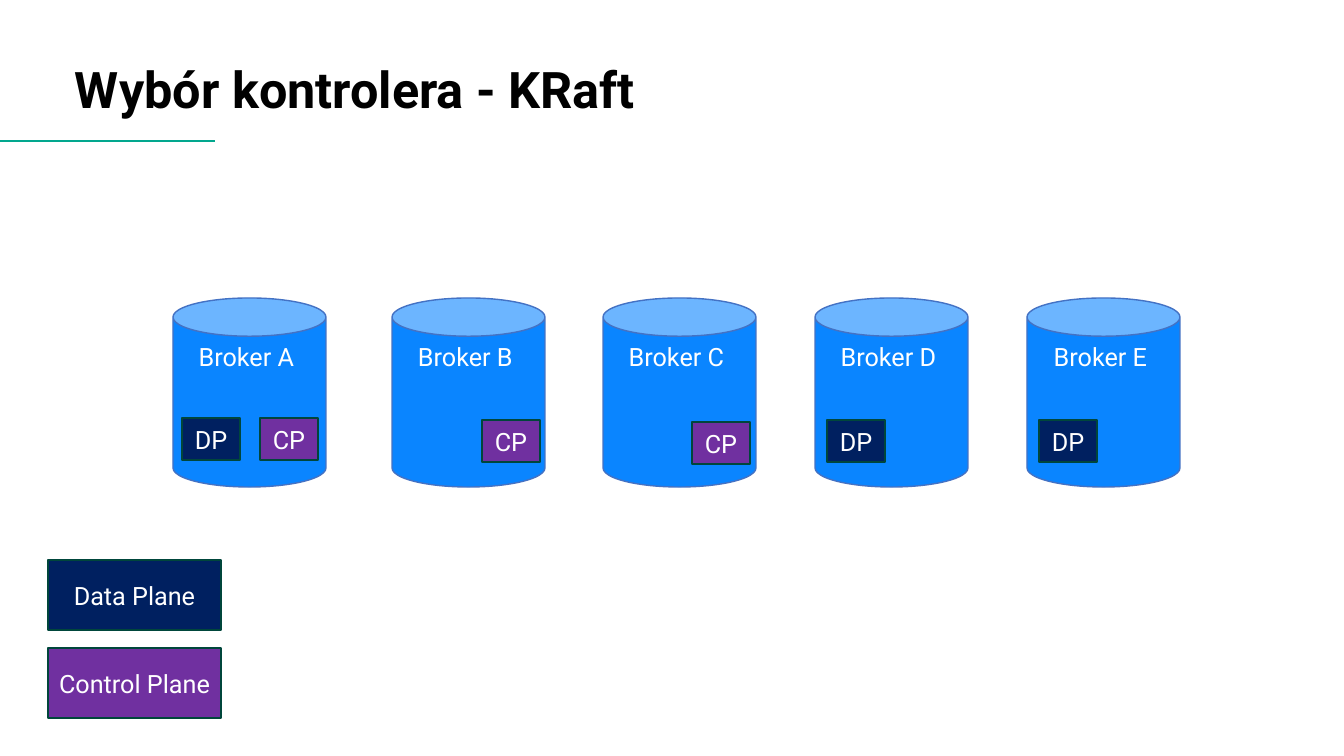
"""Builds the slide on choosing a controller with KRaft."""
from lxml.etree import SubElement
from pptx import Presentation
from pptx.dml.color import RGBColor
from pptx.enum.shapes import MSO_CONNECTOR, MSO_SHAPE
from pptx.enum.text import MSO_ANCHOR, PP_ALIGN
from pptx.oxml.ns import qn
from pptx.util import Emu, Pt

PX = 914400 / 100.8
FONT = "Roboto"
COLOURS = {
    "title": "000000",
    "accent": "02A78E",
    "label": "FFFFFF",
    "broker": "0A85FF",
    "broker_edge": "4472C4",
    "data": "002060",
    "control": "7030A0",
    "plane_edge": "00463B",
}
PLANES = {"DP": "data", "CP": "control"}
BROKERS = [
    ("A", 173, 418, {"DP": 9, "CP": 87}),
    ("B", 392, 420, {"CP": 90}),
    ("C", 603, 422, {"CP": 89}),
    ("D", 815, 420, {"DP": 12}),
    ("E", 1027, 420, {"DP": 12}),
]
LEGEND = [("Data Plane", "data"), ("Control Plane", "control")]


def px(*lengths):
    """Turn pixel lengths into EMU."""
    return [Emu(round(length * PX)) for length in lengths]


def colour(name):
    """Return the named colour."""
    return RGBColor.from_string(COLOURS[name])


def write(box, text, size, ink, anchor, align, bold=False):
    """Put one formatted paragraph into a shape."""
    frame = box.text_frame
    frame.word_wrap = True
    frame.vertical_anchor = anchor
    frame.text = text
    para = frame.paragraphs[0]
    para.alignment = align
    for span in para.runs:
        span.font.name = FONT
        span.font.size = Pt(size)
        span.font.bold = bold
        span.font.color.rgb = colour(ink)


def add_block(page, kind, bounds, text, fill, edge, anchor):
    """Draw a filled shape with a centred label."""
    block = page.shapes.add_shape(kind, *px(*bounds))
    block.shadow.inherit = False
    block.fill.solid()
    block.fill.fore_color.rgb = colour(fill)
    block.line.color.rgb = colour(edge)
    block.line.width = Pt(1)
    write(block, text, 18, "label", anchor, PP_ALIGN.CENTER)


def add_plane(page, bounds, text, fill):
    """Draw a rectangle that stands for a plane."""
    add_block(page, MSO_SHAPE.RECTANGLE, bounds, text, fill, "plane_edge", MSO_ANCHOR.MIDDLE)


def add_broker(page, letter, left, plane_top, planes):
    """Draw a broker cylinder with its planes."""
    add_block(page, MSO_SHAPE.CAN, (left, 298, 153, 189), f"Broker {letter} ",
              "broker", "broker_edge", MSO_ANCHOR.TOP)
    for name, offset in planes.items():
        add_plane(page, (left + offset, plane_top, 58, 42), name, PLANES[name])


def add_title(page, text):
    """Write the title and draw the accent line under it."""
    rule = page.shapes.add_connector(MSO_CONNECTOR.STRAIGHT, *px(215, 141, 0, 141))
    rule.line.color.rgb = colour("accent")
    rule.line.width = Pt(2)
    SubElement(rule._element.spPr, qn("a:effectLst"))
    box = page.shapes.add_textbox(*px(75, 0, 1193, 124))
    box.text_frame.margin_left = box.text_frame.margin_right = 0
    write(box, text, 36, "title", MSO_ANCHOR.BOTTOM, PP_ALIGN.LEFT, bold=True)


def main():
    """Build and save the deck."""
    deck = Presentation()
    deck.slide_width, deck.slide_height = px(1344, 756)
    page = deck.slides.add_slide(deck.slide_layouts[6])
    add_title(page, "Wybór kontrolera - KRaft")
    for broker in BROKERS:
        add_broker(page, *broker)
    for row, (text, fill) in enumerate(LEGEND):
        add_plane(page, (48, 560 + 88 * row, 173, 70), text, fill)
    deck.save("out.pptx")


if __name__ == "__main__":
    main()
